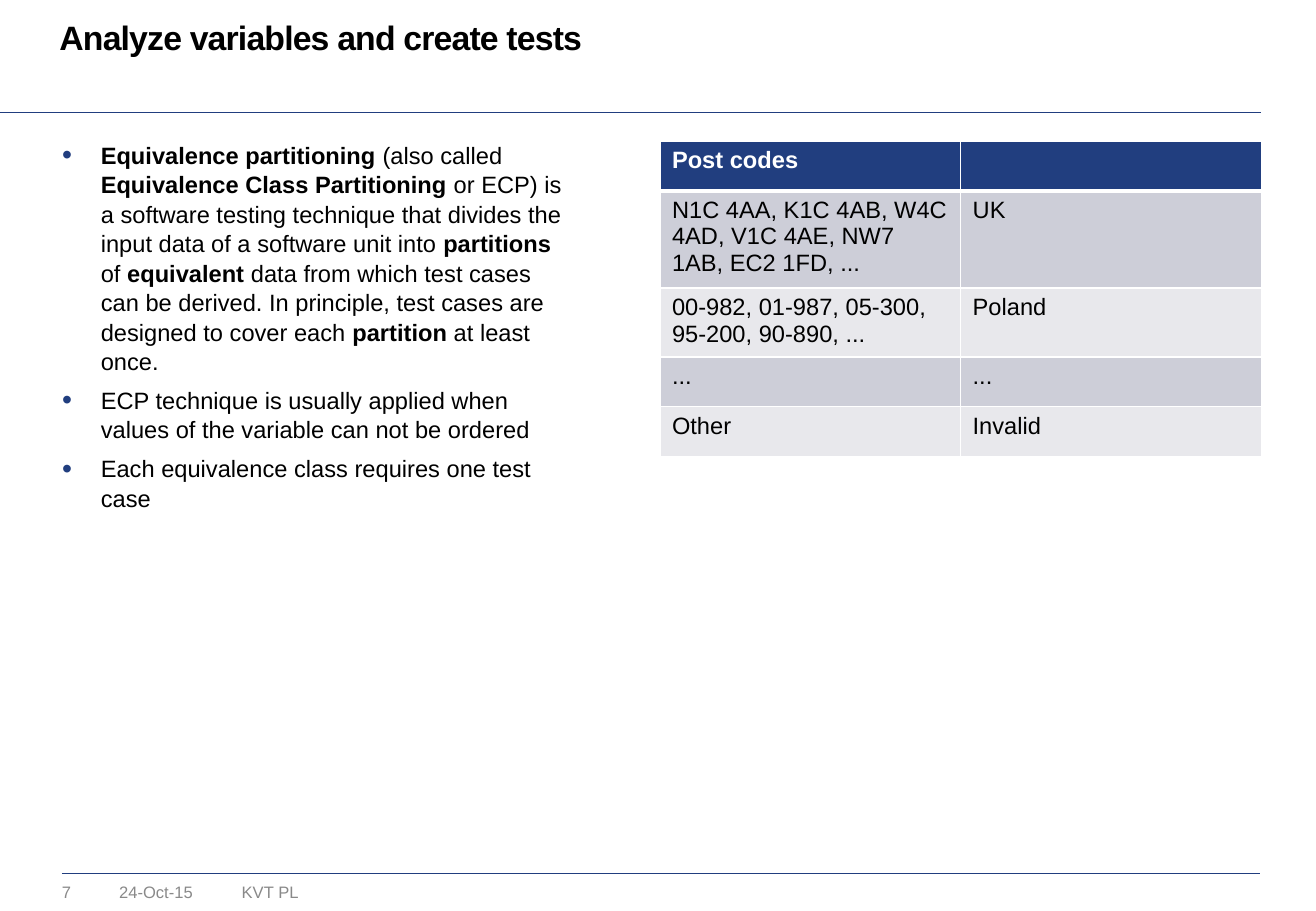
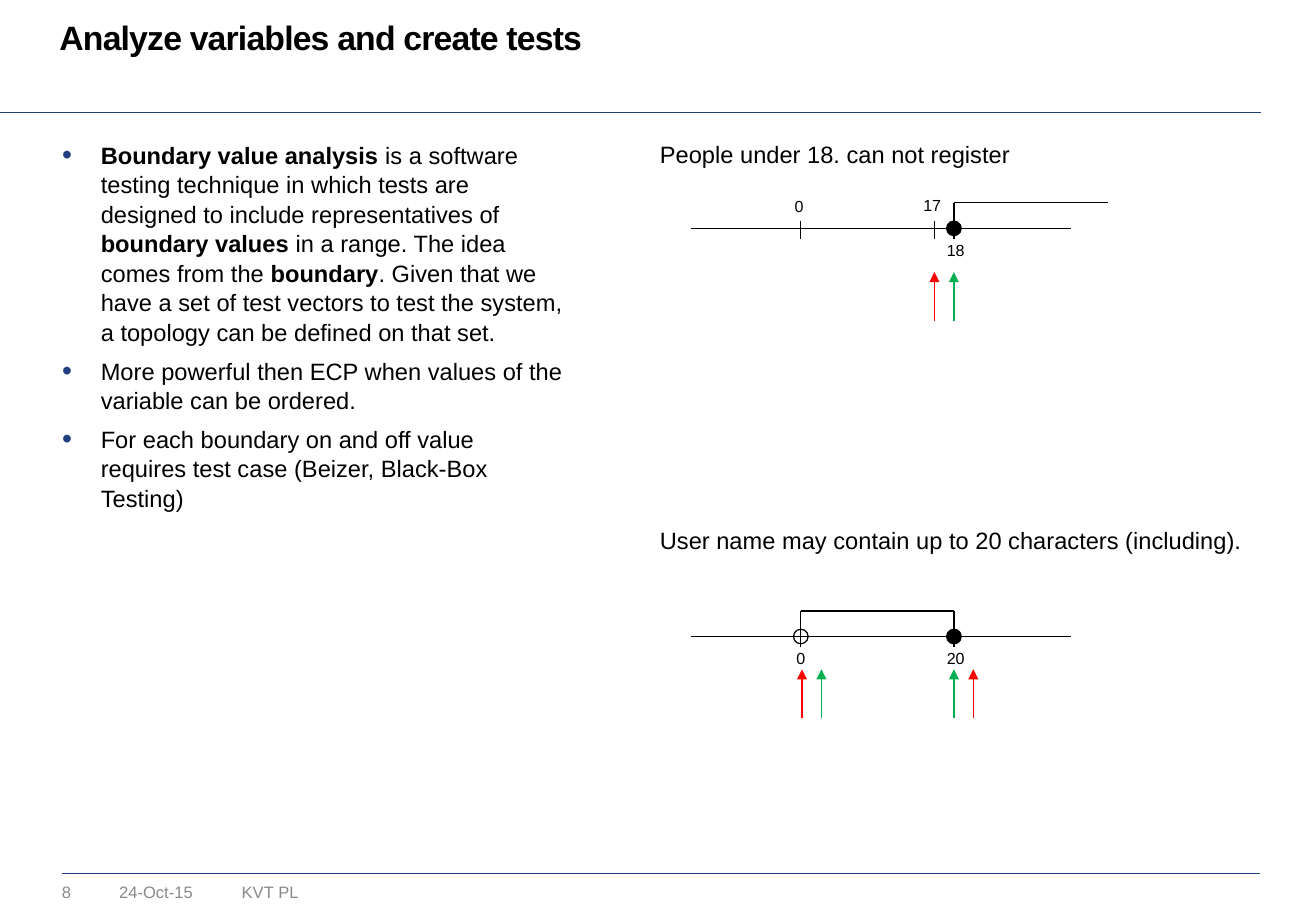
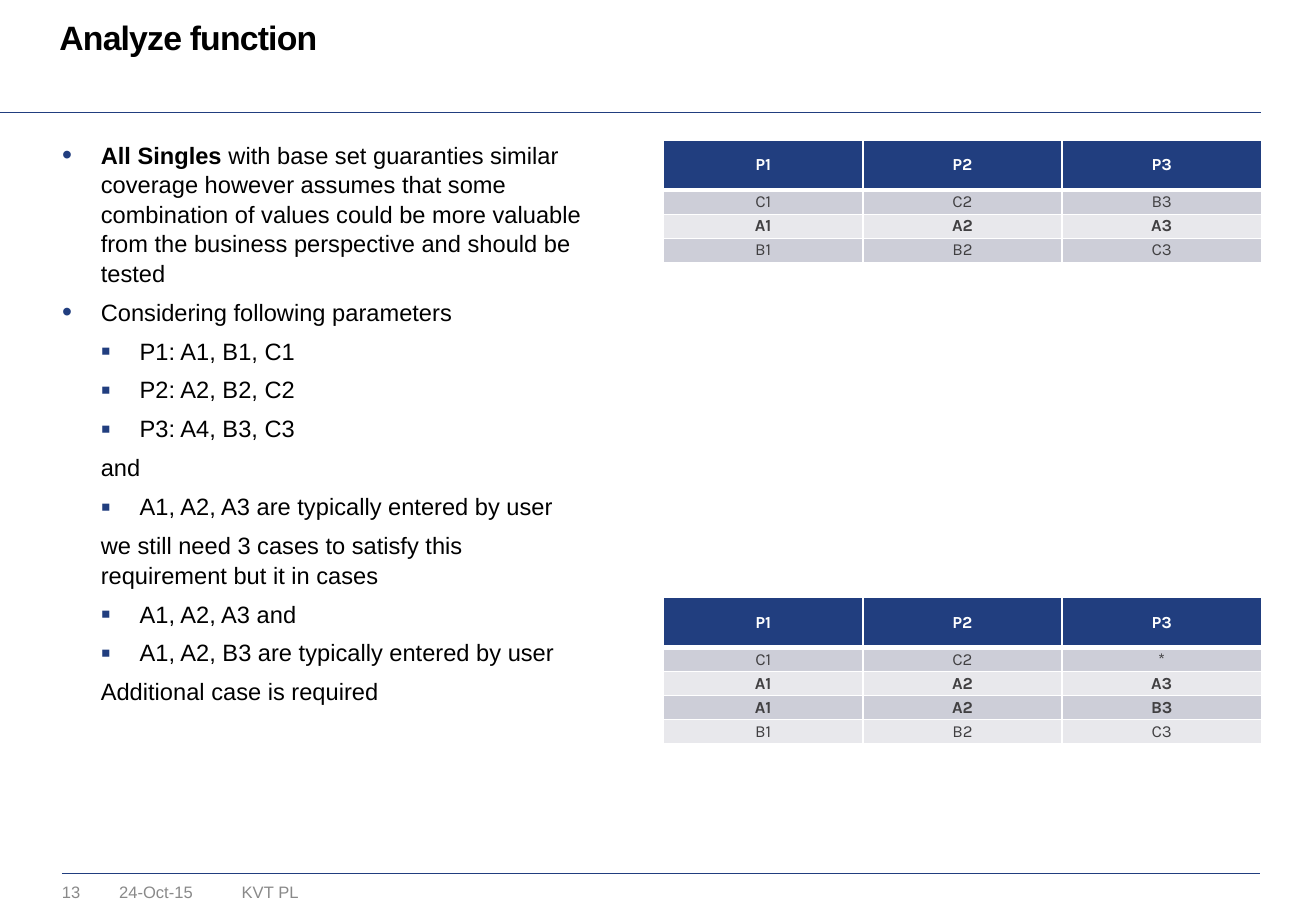
from dataclasses import dataclass

from lxml import etree
from pptx import Presentation
from pptx import util as u
from pptx.dml.color import RGBColor
from pptx.enum import shapes, text
from pptx.oxml import ns

NAVY = RGBColor(0x21, 0x3E, 0x7F)
BLACK = RGBColor(0, 0, 0)
WHITE = RGBColor(0xFF, 0xFF, 0xFF)
CHARCOAL = RGBColor(0x41, 0x40, 0x42)
GREY = RGBColor(0x89, 0x89, 0x89)
BANDS = (RGBColor(0xCD, 0xCE, 0xD8), RGBColor(0xE8, 0xE8, 0xEC))
RED = RGBColor(0xFF, 0, 0)
GREEN = RGBColor(0, 0xB0, 0x50)

BODY_FONT, GRID_FONT = "Arial", "Karla"
BODY_SIZE = 14
HEADER_ROW, SMALL_ROW = 5.47, 2.65


@dataclass
class Box:
    left: int
    top: int
    width: int
    height: int

    def point(self, x, y):
        """Position at x and y percent of this box."""
        return int(self.left + self.width * x / 100), int(self.top + self.height * y / 100)

    def inner(self, x, y, width, height):
        """Inner box, all four values in percent of this box."""
        return Box(*self.point(x, y), int(self.width * width / 100), int(self.height * height / 100))

    def place(self):
        return self.left, self.top, self.width, self.height


SLIDE = Box(0, 0, u.Inches(10.83), u.Inches(7.5))
LEFT_COLUMN = SLIDE.inner(4.71, 15.33, 38.13, 78.4)
WIDE_LEFT_COLUMN = SLIDE.inner(4.71, 15.33, 40.26, 78.4)


def add_xml(parent, tag, **attributes):
    return etree.SubElement(parent, ns.qn(tag), attributes)


def style_span(span, size, color, bold=False, font=BODY_FONT):
    span.font.name = font
    span.font.size = u.Pt(size)
    span.font.bold = bold
    span.font.color.rgb = color


def add_text(page, box, words, size, color=BLACK, bold=False, align=None, wrap=True):
    frame = page.shapes.add_textbox(*box.place()).text_frame
    frame.margin_left = frame.margin_right = frame.margin_top = frame.margin_bottom = 0
    frame.word_wrap = wrap
    para = frame.paragraphs[0]
    para.text = words
    para.alignment = align
    for span in para.runs:
        style_span(span, size, color, bold)
    return frame


def add_line(page, start, end, color=BLACK, width=0.75, arrow=False):
    line = page.shapes.add_connector(shapes.MSO_CONNECTOR.STRAIGHT, *start, *end)
    line.line.color.rgb = color
    line.line.width = u.Pt(width)
    if arrow:
        add_xml(line.line._get_or_add_ln(), "a:tailEnd", type="triangle")
    add_xml(line._element.spPr, "a:effectLst")


def add_title(page, title):
    para = add_text(page, SLIDE.inner(4.52, 2.27, 91.69, 4.13), title, 20, bold=True).paragraphs[0]
    para.line_spacing = u.Pt(21.7)
    for span in para.runs:
        span._r.get_or_add_rPr().set("spc", "-50")


def add_footer(page, number):
    for x, width, words in ((4.71, 3.6, number), (9.05, 8.22, "24-Oct-15"), (18.37, 13.02, "KVT PL")):
        add_text(page, SLIDE.inner(x, 96.8, width, 2.2), words, 9.8, GREY)


def start_page(deck, title, number):
    page = deck.slides.add_slide(deck.slide_layouts[6])
    for left, right, y in ((4.71, 95.75, 95.87), (-0.09, 95.84, 12.27)):
        add_line(page, SLIDE.point(left, y), SLIDE.point(right, y), NAVY, 0.25)
    add_footer(page, number)
    add_title(page, title)
    return page


def set_bullet(para, mark, depth):
    """Hang the paragraph at a depth of indent steps; no mark means plain text."""
    step = int(SLIDE.width * 2.95 / 100)
    properties = para._p.get_or_add_pPr()
    properties.set("marL", str(step * depth))
    properties.set("indent", str(-step if mark else 0))
    if not mark:
        add_xml(properties, "a:buNone")
        return
    add_xml(add_xml(properties, "a:buClr"), "a:srgbClr", val=str(NAVY))
    add_xml(properties, "a:buSzPct", val="120000")
    add_xml(properties, "a:buFont", typeface=BODY_FONT)
    add_xml(properties, "a:buChar", char=mark)


def add_bullets(page, box, items):
    """Items are (mark, depth, words); words between ** are bold."""
    frame = add_text(page, box, "", BODY_SIZE)
    for index, (mark, depth, words) in enumerate(items):
        para = frame.add_paragraph() if index else frame.paragraphs[0]
        para.line_spacing = 1.04
        para.space_before = para.space_after = u.Pt(BODY_SIZE * 0.2)
        set_bullet(para, mark, depth)
        for order, piece in enumerate(words.split("**")):
            if piece:
                span = para.add_run()
                span.text = piece
                style_span(span, BODY_SIZE, BLACK, bold=order % 2 == 1)


def dot(words):
    return "•", 1, words


def square(words):
    return "▪", 2, words


def plain(words):
    return None, 1, words


def set_borders(cell, top, bottom):
    properties = cell._tc.get_or_add_tcPr()
    sides = (("a:lnL", 1), ("a:lnR", 1), ("a:lnT", top), ("a:lnB", bottom))
    for order, (tag, width) in enumerate(sides):
        border = etree.Element(ns.qn(tag), w=str(u.Pt(width)))
        add_xml(add_xml(border, "a:solidFill"), "a:srgbClr", val=str(WHITE))
        properties.insert(order, border)


def add_grid(page, box, rows, row_heights, size=BODY_SIZE, color=BLACK, font=BODY_FONT,
             compact=False, bold_rows=()):
    """Banded table; row heights are in percent of the slide."""
    table = page.shapes.add_table(len(rows), len(rows[0]), *box.place()).table
    table.horz_banding = False
    for row, height in zip(table.rows, row_heights):
        row.height = int(SLIDE.height * height / 100)
    for y, row in enumerate(rows):
        header = y == 0
        for x, words in enumerate(row):
            cell = table.cell(y, x)
            cell.fill.solid()
            cell.fill.fore_color.rgb = NAVY if header else BANDS[(y - 1) % 2]
            set_borders(cell, 3 if y == 1 else 1, 3 if header else 1)
            para = cell.text_frame.paragraphs[0]
            para.text = words
            if compact:
                cell.margin_left = cell.margin_right = cell.margin_top = cell.margin_bottom = 0
                cell.vertical_anchor = text.MSO_ANCHOR.MIDDLE
                para.alignment = text.PP_ALIGN.CENTER
            for span in para.runs:
                style_span(span, size, WHITE if header else color, header or y in bold_rows, font)


def add_case_grid(page, top, cases, bold_rows):
    heights = [HEADER_ROW] + [SMALL_ROW] * len(cases)
    box = SLIDE.inner(50.42, top, 45.43, sum(heights))
    add_grid(page, box, [("P1", "P2", "P3")] + cases, heights, 10, CHARCOAL, GRID_FONT,
             compact=True, bold_rows=bold_rows)


def add_number_line(page, box, bracket, ticks, labels, ends, arrows, arrow_tip):
    """Axis with a bracket along the box top; all positions in percent of the box."""
    axis, foot, tick_top, arrow_length = 21, 30, 15, 40.5
    add_line(page, box.point(0, axis), box.point(100, axis))
    add_line(page, box.point(bracket[0], 0), box.point(bracket[1], 0))
    for x in ticks:
        add_line(page, box.point(x, foot), box.point(x, tick_top))
    for x, filled in ends:
        add_line(page, box.point(x, foot), box.point(x, 0))
        center_x, center_y = box.point(x, axis)
        diameter = int(box.height * 12 / 100)
        ring = page.shapes.add_shape(shapes.MSO_SHAPE.OVAL, center_x - diameter // 2,
                                     center_y - diameter // 2, diameter, diameter)
        ring.shadow.inherit = False
        ring.line.color.rgb = BLACK
        ring.line.width = u.Pt(0.75)
        if filled:
            ring.fill.solid()
            ring.fill.fore_color.rgb = BLACK
        else:
            ring.fill.background()
    for x, y, words in labels:
        add_text(page, box.inner(x - 5, y, 10, 16), words, 9.5, align=text.PP_ALIGN.CENTER)
    for x, color in arrows:
        add_line(page, box.point(x, arrow_tip + arrow_length), box.point(x, arrow_tip), color, arrow=True)


def build_partitioning(deck):
    page = start_page(deck, "Analyze variables and create tests", "7")
    add_bullets(page, LEFT_COLUMN, [
        dot("**Equivalence partitioning** (also called **Equivalence Class Partitioning** or ECP) "
            "is a software testing technique that divides the input data of a software unit into "
            "**partitions** of **equivalent** data from which test cases can be derived. In "
            "principle, test cases are designed to cover each **partition** at least once."),
        dot("ECP technique is usually applied when values of the variable can not be ordered"),
        dot("Each equivalence class requires one test case"),
    ])
    rows = [
        ("Post codes", ""),
        ("N1C 4AA, K1C 4AB, W4C 4AD, V1C 4AE, NW7 1AB, EC2 1FD, ...", "UK"),
        ("00-982, 01-987, 05-300, 95-200, 90-890, ...", "Poland"),
        ("...", "..."),
        ("Other", "Invalid"),
    ]
    add_grid(page, SLIDE.inner(50.14, 15.47, 45.7, 27.35), rows, [HEADER_ROW] * len(rows))


def build_boundaries(deck):
    page = start_page(deck, "Analyze variables and create tests", "8")
    add_bullets(page, LEFT_COLUMN, [
        dot("**Boundary value analysis** is a software testing technique in which tests are "
            "designed to include representatives of **boundary values** in a range. The idea comes "
            "from the **boundary**. Given that we have a set of test vectors to test the system, "
            "a topology can be defined on that set."),
        dot("More powerful then ECP when values of the variable can be ordered."),
        dot("For each boundary on and off value requires test case (Beizer, Black-Box Testing)"),
    ])
    for y, words in ((15.33, "People under 18. can not register"),
                     (57.73, "User name may contain up to 20 characters (including).")):
        add_text(page, SLIDE.inner(50.14, y, 46.17, 3.2), words, BODY_SIZE)

    zero, below, limit, above = 28.85, 64.1, 69.23, 74.36
    add_number_line(page, SLIDE.inner(52.54, 22.27, 28.81, 13.33), bracket=(limit, 110),
                    ticks=(zero, below), ends=((limit, True),),
                    labels=((28.4, -5, "0"), (63.5, -6, "17"), (69.7, 31, "18")),
                    arrows=((below, RED), (limit, GREEN)), arrow_tip=57)
    add_number_line(page, SLIDE.inner(52.54, 67.07, 28.81, 13.33), bracket=(zero, limit),
                    ticks=(), ends=((zero, False), (limit, True)),
                    labels=((zero, 31, "0"), (69.7, 31, "20")),
                    arrows=((29.17, RED), (34.29, GREEN), (limit, GREEN), (above, RED)),
                    arrow_tip=48)


def build_singles(deck):
    page = start_page(deck, "Analyze function", "13")
    add_bullets(page, WIDE_LEFT_COLUMN, [
        dot("**All Singles** with base set guaranties similar coverage however assumes that some "
            "combination of values could be more valuable from the business perspective and "
            "should be tested"),
        dot("Considering following parameters"),
        square("P1: A1, B1, C1"),
        square("P2: A2, B2, C2"),
        square("P3: A4, B3, C3"),
        plain("and"),
        square("A1, A2, A3 are typically entered by user"),
        plain("we still need 3 cases to satisfy this requirement but it in cases"),
        square("A1, A2, A3 and"),
        square("A1, A2, B3 are typically entered by user"),
        plain("Additional case is required"),
    ])
    base, last = ("A1", "A2", "A3"), ("B1", "B2", "C3")
    add_case_grid(page, 15.4, [("C1", "C2", "B3"), base, last], bold_rows=(2,))
    add_case_grid(page, 65.6, [("C1", "C2", "*"), base, ("A1", "A2", "B3"), last], bold_rows=(2, 3))


def main():
    deck = Presentation()
    deck.slide_width, deck.slide_height = SLIDE.width, SLIDE.height
    build_partitioning(deck)
    build_boundaries(deck)
    build_singles(deck)
    deck.save("out.pptx")


if __name__ == "__main__":
    main()
